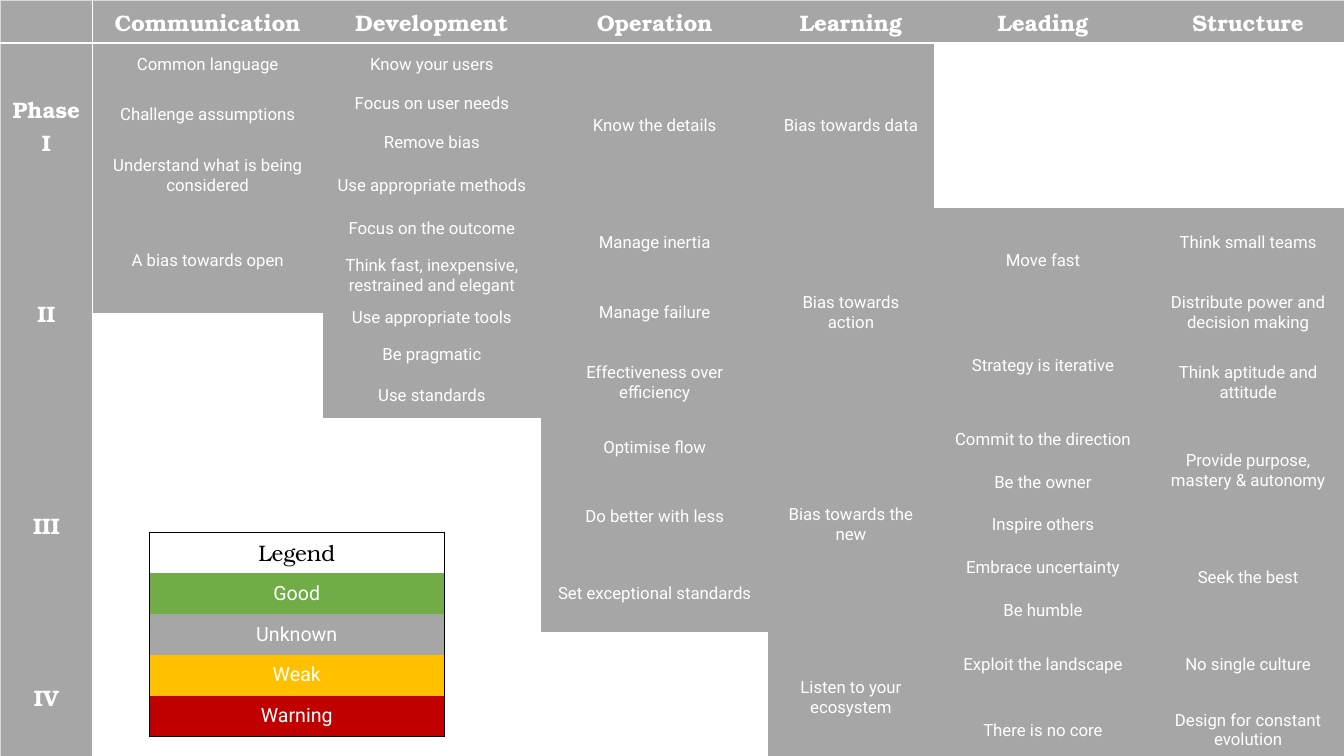
from lxml import etree
from pptx import Presentation, util as u
from pptx.dml import color
from pptx.enum import text
from pptx.oxml import ns

COLORS = {"unknown": "A6A6A6", "blank": "FFFFFF", "edge": "D8D8D8", "ink": "000000",
          "good": "70AD47", "weak": "FFC000", "warning": "C00000"}
HEADING = {"name": "TeX Gyre Bonum", "size": u.Pt(16), "bold": True}
PRINCIPLE = {"name": "Roboto", "size": u.Pt(12), "bold": False}
LEGEND_TITLE = {**HEADING, "bold": False}
LEGEND_ENTRY = {**PRINCIPLE, "size": u.Pt(14)}
CELL = {"vertical_anchor": text.MSO_ANCHOR.MIDDLE}
PLAIN = {"first_row": False, "horz_banding": False}
NO_STYLE = "{2D5ABB26-0587-4C30-8999-92F81FD0307C}"

COLUMN_WIDTHS = [2.34, 5.79, 5.51, 5.72, 4.17, 5.51, 4.83]
ROW_HEIGHTS = [1.09, 1.09, 0.01, 0.86, 0.56, 0.53, 1.09,
               1.09, 0.66, 0.01, 0.33, 0.33, 0.01, 0.53, 0.33, 0.01, 0.66, 1.09,
               1.09, 0.43, 0.64, 0.51, 0.58, 0.2, 0.86, 1.09,
               1.65, 1.65]
DOCTRINE = [
    [("", 1), ("Phase\vI", 6), ("II", 11), ("III", 8), ("IV", 2)],
    [("Communication", 1), ("Common language", 2), ("Challenge assumptions", 2),
     ("Understand what is being considered", 2), ("A bias towards open", 5),
     ("", 6), ("", 8), ("", 2)],
    [("Development", 1), ("Know your users", 1), ("Focus on user needs", 2),
     ("Remove bias", 2), ("Use appropriate methods", 1), ("Focus on the outcome", 1),
     ("Think fast, inexpensive, restrained and elegant", 3),
     ("Use appropriate tools", 3), ("Be pragmatic", 3), ("Use standards", 1),
     ("", 8), ("", 2)],
    [("Operation", 1), ("Know the details", 6), ("Manage inertia", 2),
     ("Manage failure", 7), ("Effectiveness over efficiency", 2),
     ("Optimise flow", 2), ("Do better with less", 4),
     ("Set exceptional standards", 2), ("", 2)],
    [("Learning", 1), ("Bias towards data", 6), ("Bias towards action", 11),
     ("Bias towards the new", 8), ("Listen to your ecosystem", 2)],
    [("Leading", 1), ("", 6), ("Move fast", 6), ("Strategy is iterative", 5),
     ("Commit to the direction", 1), ("Be the owner", 2), ("Inspire others", 2),
     ("Embrace uncertainty", 2), ("Be humble", 1), ("Exploit the landscape", 1),
     ("There is no core", 1)],
    [("Structure", 1), ("", 6), ("Think small teams", 3),
     ("Distribute power and decision making", 5), ("Think aptitude and attitude", 3),
     ("Provide purpose, mastery & autonomy", 4), ("Seek the best", 4),
     ("No single culture", 1), ("Design for constant evolution", 1)],
]
LEGEND = [("Legend", "blank"), ("Good", "good"), ("Unknown", "unknown"),
          ("Weak", "weak"), ("Warning", "warning")]


class DoctrineSlide:
    """Holds the palette and the current slide, and adds styled tables to it."""

    def __init__(self, slide, colors):
        self.slide = slide
        self.colors = colors

    def rgb(self, key):
        return color.RGBColor.from_string(self.colors[key])

    def table(self, left, top, widths, heights):
        frame = self.slide.shapes.add_table(
            len(heights), len(widths), u.Cm(left), u.Cm(top),
            u.Cm(sum(widths)), u.Cm(sum(heights)))
        grid = frame.table
        for key, value in PLAIN.items():
            setattr(grid, key, value)
        grid._tbl.tblPr.find(ns.qn("a:tableStyleId")).text = NO_STYLE
        for column, width in zip(grid.columns, widths):
            column.width = u.Cm(width)
        for row, height in zip(grid.rows, heights):
            row.height = u.Cm(height)
        return grid

    def border(self, cell, side, key, points):
        line = etree.SubElement(cell._tc.get_or_add_tcPr(), ns.qn(f"a:ln{side}"),
                                w=str(u.Pt(points)))
        fill = etree.SubElement(line, ns.qn("a:solidFill"))
        etree.SubElement(fill, ns.qn("a:srgbClr"), val=self.colors[key])

    def cell(self, cell, wording, fill, font, ink="blank", borders=None):
        borders = borders or {}
        for side in "LRTB":
            if side in borders:
                self.border(cell, side, *borders[side])
        cell.fill.solid()
        cell.fill.fore_color.rgb = self.rgb(fill)
        for key, value in CELL.items():
            setattr(cell, key, value)
        if wording:
            cell.text = wording
            for paragraph in cell.text_frame.paragraphs:
                paragraph.alignment = text.PP_ALIGN.CENTER
                for run in paragraph.runs:
                    for key, value in font.items():
                        setattr(run.font, key, value)
                    run.font.color.rgb = self.rgb(ink)

    def doctrine(self):
        grid = self.table(0, 0, COLUMN_WIDTHS, ROW_HEIGHTS)
        last = len(DOCTRINE) - 1
        for col, entries in enumerate(DOCTRINE):
            row = 0
            for wording, span in entries:
                cell = grid.cell(row, col)
                if span > 1:
                    cell.merge(grid.cell(row + span - 1, col))
                borders = {}
                if col == 0:
                    borders.update(L=("edge", 0.5), R=("blank", 1))
                if col == last:
                    borders.update(R=("edge", 0.5))
                if row == 0:
                    borders.update(T=("edge", 0.5), B=("blank", 1.5))
                heading = row == 0 or col == 0
                fill = "unknown" if wording or heading else "blank"
                self.cell(cell, wording, fill, HEADING if heading else PRINCIPLE,
                          borders=borders)
                row += span

    def legend(self):
        grid = self.table(3.76, 13.41, [7.44], [1.03] * len(LEGEND))
        for row, (wording, fill) in enumerate(LEGEND):
            borders = {"L": ("ink", 1), "R": ("ink", 1)}
            if row == 0:
                borders["T"] = ("ink", 1)
            if row == len(LEGEND) - 1:
                borders["B"] = ("ink", 1)
            self.cell(grid.cell(row, 0), wording, fill,
                      LEGEND_ENTRY if row else LEGEND_TITLE,
                      "blank" if row else "ink", borders)


def main():
    deck = Presentation()
    deck.slide_width, deck.slide_height = u.Cm(33.87), u.Cm(19.05)
    page = DoctrineSlide(deck.slides.add_slide(deck.slide_layouts[6]), COLORS)
    page.doctrine()
    page.legend()
    deck.save("out.pptx")


if __name__ == "__main__":
    main()
